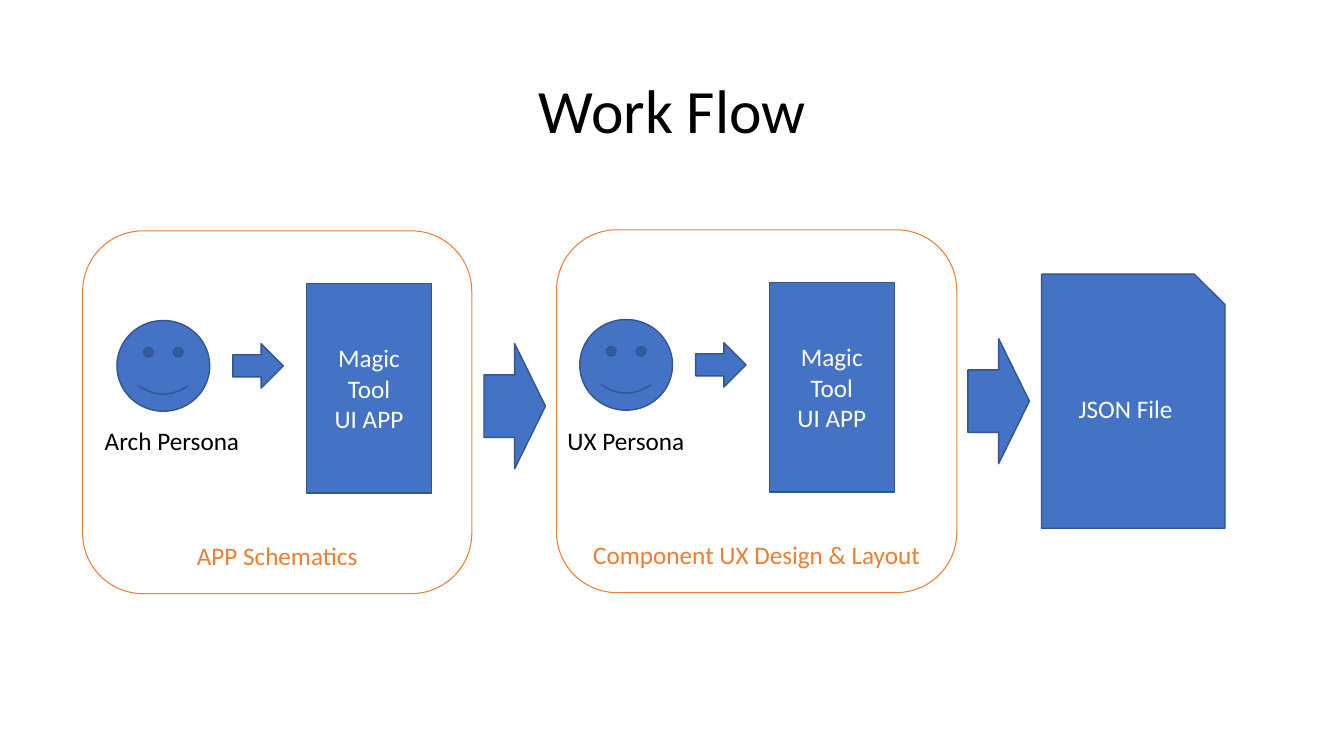
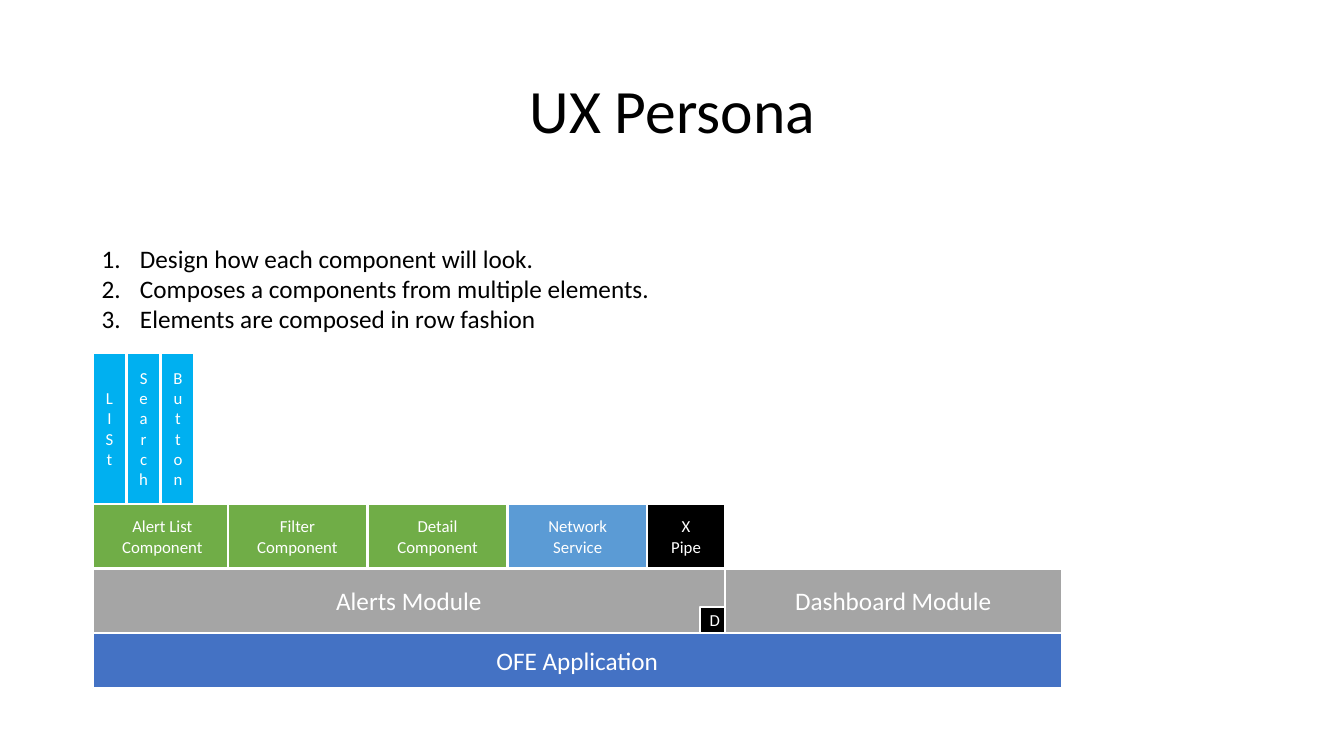
from lxml.etree import SubElement
from pptx import Presentation
from pptx.dml.color import RGBColor
from pptx.enum.shapes import MSO_SHAPE
from pptx.enum.text import MSO_ANCHOR, MSO_AUTO_SIZE, PP_ALIGN
from pptx.oxml.ns import qn
from pptx.util import Inches, Pt

FONT = "Calibri"
BLACK = RGBColor(0x00, 0x00, 0x00)
WHITE = RGBColor(0xFF, 0xFF, 0xFF)
BLUE = RGBColor(0x44, 0x72, 0xC4)
DARK_BLUE = RGBColor(0x32, 0x54, 0x91)
LIGHT_BLUE = RGBColor(0x5B, 0x9B, 0xD5)
CYAN = RGBColor(0x00, 0xB0, 0xF0)
ORANGE = RGBColor(0xED, 0x7D, 0x31)
GREEN = RGBColor(0x70, 0xAD, 0x47)
GRAY = RGBColor(0xA5, 0xA5, 0xA5)


def write(tf, text, size=18, color=WHITE, align=PP_ALIGN.CENTER,
          anchor=MSO_ANCHOR.MIDDLE, spacing=None):
    """Fill a text frame with one formatted paragraph per line."""
    tf.vertical_anchor = anchor
    for i, line in enumerate(text.split("\n")):
        p = tf.add_paragraph() if i else tf.paragraphs[0]
        p.alignment = align
        if spacing:
            p.line_spacing = spacing
        r = p.add_run()
        r.text = line
        r.font.name = FONT
        r.font.size = Pt(size)
        r.font.color.rgb = color


def add_titled_slide(prs, title):
    """Add a title-only slide with the shared title style."""
    s = prs.slides.add_slide(prs.slide_layouts[5])
    sp = s.shapes.title
    sp.left, sp.top = Inches(0.92), Inches(0.4)
    sp.width, sp.height = Inches(11.5), Inches(1.45)
    write(sp.text_frame, title, size=44, color=BLACK, spacing=0.9)
    return s


def add_box(s, kind, x, y, w, h, text="", fill=BLUE, line=DARK_BLUE,
            line_width=1, **text_format):
    """Add a preset shape, unfilled when fill is None."""
    sp = s.shapes.add_shape(kind, Inches(x), Inches(y), Inches(w), Inches(h))
    sp.shadow.inherit = False
    if fill is None:
        sp.fill.background()
    else:
        sp.fill.solid()
        sp.fill.fore_color.rgb = fill
    sp.line.color.rgb = line
    sp.line.width = Pt(line_width)
    if text:
        write(sp.text_frame, text, **text_format)
    return sp


def add_block(s, x, y, w, h, text, fill, size=12):
    """Add a white-edged block of the component stack."""
    return add_box(s, MSO_SHAPE.RECTANGLE, x, y, w, h, text, fill=fill,
                   line=WHITE, line_width=1.5, size=size)


def add_label(s, x, y, w, h, text):
    """Add an unwrapped, left-aligned black text box."""
    tf = s.shapes.add_textbox(Inches(x), Inches(y), Inches(w), Inches(h)).text_frame
    tf.word_wrap = False
    tf.auto_size = MSO_AUTO_SIZE.SHAPE_TO_FIT_TEXT
    write(tf, text, color=BLACK, align=PP_ALIGN.LEFT, anchor=MSO_ANCHOR.TOP)
    return tf


def number_paragraphs(tf):
    """Turn the paragraphs of a text frame into a numbered list."""
    for p in tf.paragraphs:
        pPr = p._p.get_or_add_pPr()
        pPr.set("marL", str(Inches(0.38)))
        pPr.set("indent", str(-Inches(0.38)))
        SubElement(pPr, qn("a:buFont"), typeface="+mj-lt")
        SubElement(pPr, qn("a:buAutoNum"), type="arabicPeriod")


def add_stage(s, x, y, w, caption, persona, persona_x, label_w):
    """Add a framed stage: a persona, an arrow and the tool it uses."""
    add_box(s, MSO_SHAPE.RECTANGLE, persona_x + 1.88, y + 0.52, 1.24, 2.08,
            "Magic Tool\nUI APP")
    add_box(s, MSO_SHAPE.SMILEY_FACE, persona_x, y + 0.89, 0.92, 0.9)
    add_label(s, persona_x - 0.22, 4.17, label_w, 0.4, persona)
    add_box(s, MSO_SHAPE.RIGHT_ARROW, persona_x + 1.15, y + 1.12, 0.5, 0.44)
    add_box(s, MSO_SHAPE.ROUNDED_RECTANGLE, x, y, w, 3.6, caption, fill=None,
            line=ORANGE, line_width=0.75, color=ORANGE, anchor=MSO_ANCHOR.BOTTOM)


def build_work_flow(prs):
    """Build the flow from personas to the JSON file."""
    s = add_titled_slide(prs, "Work Flow")
    add_stage(s, 0.82, 2.29, 3.86, "APP Schematics", "Arch Persona", 1.16, 1.55)
    add_stage(s, 5.52, 2.28, 3.97, "Component UX Design & Layout",
              "UX Persona", 5.75, 1.37)
    for x, y in ((4.8, 3.41), (9.6, 3.36)):
        add_box(s, MSO_SHAPE.RIGHT_ARROW, x, y, 0.61, 1.24)
    add_box(s, MSO_SHAPE.SNIP_1_RECTANGLE, 10.33, 2.72, 1.82, 2.52, "JSON File")


def build_ux_persona(prs):
    """Build the numbered list and the stack of application parts."""
    s = add_titled_slide(prs, "UX Persona")
    number_paragraphs(add_label(
        s, 0.91, 2.36, 5.69, 1.01,
        "Design how each component will look.\n"
        "Composes a components from multiple elements.\n"
        "Elements are composed in row fashion"))

    left = 0.92
    add_block(s, left, 6.28, 9.61, 0.55, "OFE Application", BLUE, size=18)
    add_block(s, left, 5.64, 6.27, 0.64, "Alerts Module", GRAY, size=18)
    add_block(s, 7.19, 5.64, 3.34, 0.64, "Dashboard Module", GRAY, size=18)

    parts = (
        (left, 1.38, "Alert List Component", GREEN),
        (2.26, 1.38, "Filter\nComponent", GREEN),
        (3.65, 1.38, "Detail\nComponent", GREEN),
        (5.04, 1.38, "Network\nService", LIGHT_BLUE),
        (6.42, 0.77, "X\nPipe", BLACK),
    )
    for x, w, text, fill in parts:
        add_block(s, x, 5, w, 0.64, text, fill)
    add_block(s, 6.94, 6.02, 0.25, 0.26, "D", BLACK)

    for i, text in enumerate(("L\nI\nS\nt", "Sear\nch", "But\nton")):
        add_block(s, left + 0.34 * i, 3.5, 0.33, 1.5, text, CYAN)


def main():
    """Create the presentation and save it."""
    prs = Presentation()
    prs.slide_width, prs.slide_height = Inches(13.33), Inches(7.5)
    build_work_flow(prs)
    build_ux_persona(prs)
    prs.save("out.pptx")


if __name__ == "__main__":
    main()
